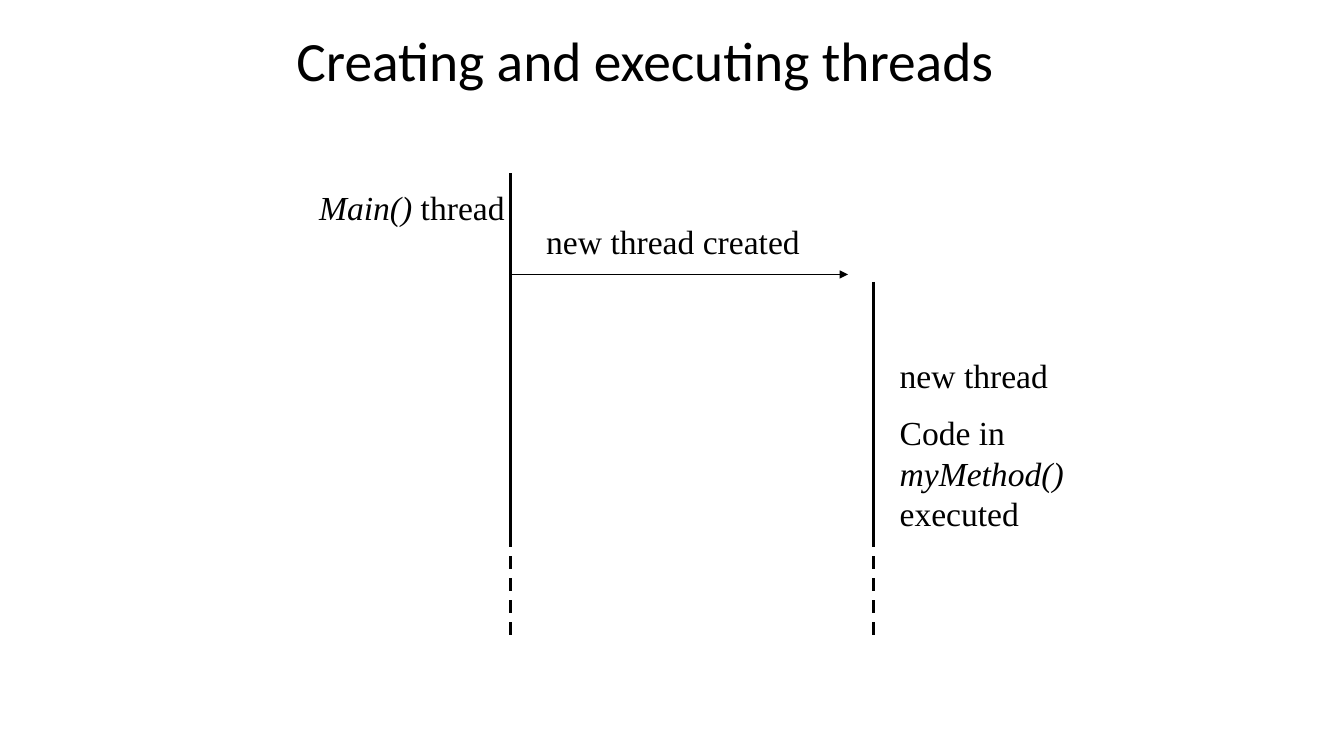
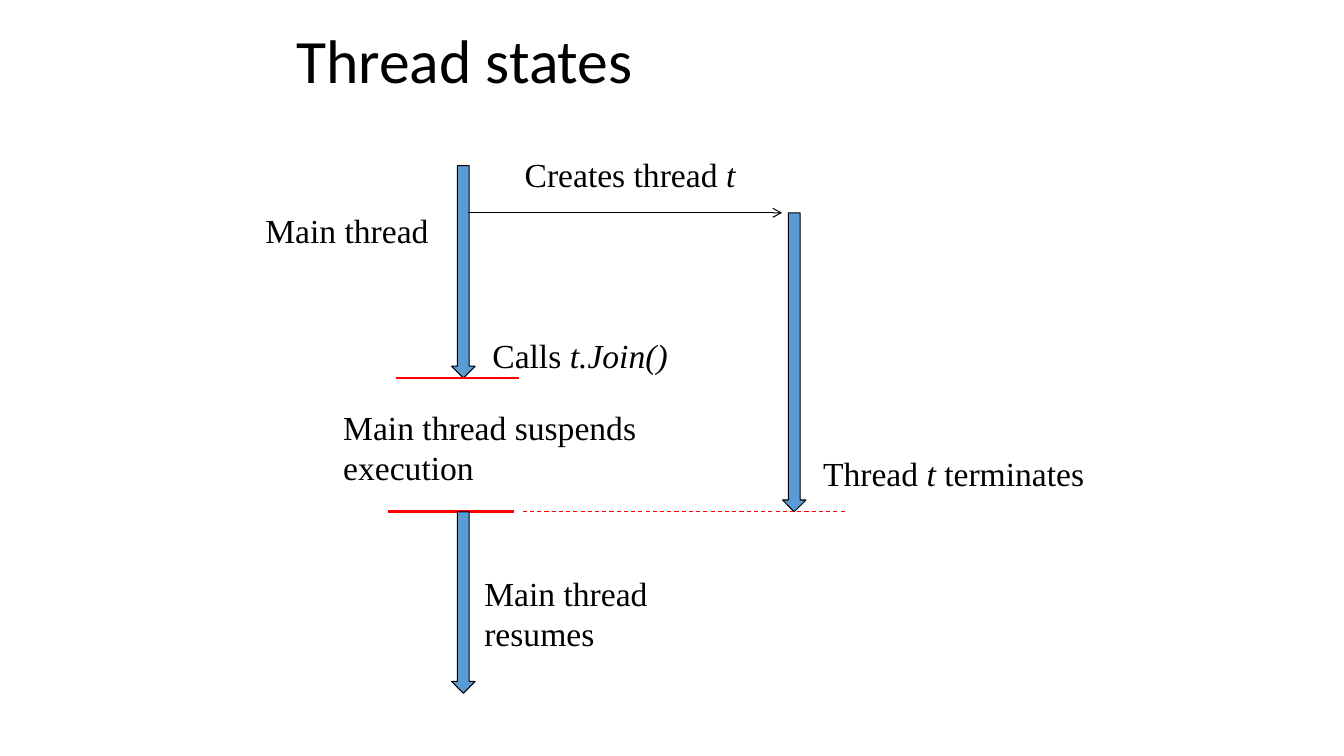
from lxml import etree
from pptx import Presentation
from pptx import util as u
from pptx.dml.color import RGBColor
from pptx.enum import dml, shapes, text
from pptx.oxml import ns

COLORS = {"ink": "000000", "paper": "FFFFFF", "bar": "5B9BD5", "stop": "FF0000"}
TITLE_FONT, BODY_FONT = "Calibri", "Times New Roman"
BODY_SIZE = 24
WIDTH, HEIGHT = u.Inches(13.333), u.Inches(7.5)
ONE_LINE, TWO_LINES = 6.8, 12.1


def across(percent):
    """Turn a percentage of the slide width into a length."""
    return u.Emu(round(WIDTH * percent / 100))


def down(percent):
    """Turn a percentage of the slide height into a length."""
    return u.Emu(round(HEIGHT * percent / 100))


def color(name):
    """Look up a palette colour."""
    return RGBColor.from_string(COLORS[name])


def add_span(para, words, font, size, italic=False):
    """Add one formatted run to a paragraph."""
    span = para.add_run()
    span.text = words
    span.font.name = font
    span.font.size = u.Pt(size)
    span.font.italic = italic
    span.font.color.rgb = color("ink")


def add_page(deck, title, size):
    """Add a white page with the shared left-aligned title."""
    page = deck.slides.add_slide(deck.slide_layouts[5])
    page.background.fill.solid()
    page.background.fill.fore_color.rgb = color("paper")
    box = page.shapes.title
    box.left, box.top = across(21.3), down(0)
    box.width, box.height = across(63.75), down(16.7)
    frame = box.text_frame
    frame.word_wrap = True
    frame.auto_size = text.MSO_AUTO_SIZE.NONE
    frame.vertical_anchor = text.MSO_ANCHOR.MIDDLE
    para = frame.paragraphs[0]
    para.alignment = text.PP_ALIGN.LEFT
    para.line_spacing = 0.9
    add_span(para, title, TITLE_FONT, size)
    return page


def add_label(page, left, top, width, height, *paragraphs, gap=0):
    """Add a label; each paragraph lists its runs, and a tuple holds italic words."""
    box = page.shapes.add_textbox(across(left), down(top), across(width), down(height))
    frame = box.text_frame
    frame.word_wrap = True
    for index, spans in enumerate(paragraphs):
        para = frame.add_paragraph() if index else frame.paragraphs[0]
        para.space_before = u.Pt(gap if index else 0)
        for span in spans:
            italic = isinstance(span, tuple)
            add_span(para, span[0] if italic else span, BODY_FONT, BODY_SIZE, italic)


def add_line(page, start, end, weight, ink="ink", dashed=False, head=None):
    """Add a straight line, optionally dashed or with an arrowhead at its end."""
    line = page.shapes.add_connector(
        shapes.MSO_CONNECTOR.STRAIGHT,
        across(start[0]), down(start[1]), across(end[0]), down(end[1]))
    line.line.color.rgb = color(ink)
    line.line.width = u.Pt(weight)
    if dashed:
        line.line.dash_style = dml.MSO_LINE.DASH
    if head:
        etree.SubElement(line.line._get_or_add_ln(), ns.qn("a:tailEnd"), type=head)
    etree.SubElement(line._element.spPr, ns.qn("a:effectLst"))


def add_lifeline(page, x, top, solid_end):
    """Draw a running thread that continues as a dashed line."""
    add_line(page, (x, top), (x, solid_end), 2.25)
    add_line(page, (x, 70.7), (x, 84), 2.25, dashed=True)


def add_bar(page, left, top, bottom):
    """Draw a running thread as a narrow down arrow."""
    bar = page.shapes.add_shape(
        shapes.MSO_SHAPE.DOWN_ARROW,
        across(left), down(top), across(1.75), down(bottom - top))
    bar.shadow.inherit = False
    bar.fill.solid()
    bar.fill.fore_color.rgb = color("bar")
    bar.line.color.rgb = color("ink")
    bar.line.width = u.Pt(0.75)


def build_creation(deck):
    """Show how the main thread creates a second one."""
    page = add_page(deck, "Creating and executing threads", 39.6)
    main_x, new_x, call_y = 38, 65, 36.3
    add_lifeline(page, main_x, 22.9, 70.7)
    add_lifeline(page, new_x, 37.3, 71.9)
    add_line(page, (main_x, call_y), (63.1, call_y), 0.75, head="triangle")
    add_label(page, 23, 24, 17.5, ONE_LINE, [("Main() ",), "thread"])
    add_label(page, 39.9, 28.5, 23.1, ONE_LINE, ["new thread created"])
    add_label(page, 66.2, 46.3, 17.5, 25.6, ["new thread"],
              ["Code in ", ("myMethod()",), " executed"], gap=12)


def build_states(deck):
    """Show how the main thread waits for thread t."""
    page = add_page(deck, "Thread states", 44)
    main_x, new_x = 33.6, 58.2
    start_y, create_y, join_y, resume_y, end_y = 21.9, 28.15, 50, 67.7, 91.7
    add_bar(page, main_x, start_y, join_y)
    add_line(page, (34.8, create_y), (new_x, create_y), 0.75, head="arrow")
    add_bar(page, new_x + 0.02, create_y, resume_y)
    add_line(page, (29.5, join_y), (38.6, join_y), 2, "stop")
    add_line(page, (28.9, resume_y), (38.25, resume_y), 2, "stop")
    add_bar(page, main_x, resume_y, end_y)
    add_line(page, (38.9, resume_y), (62.9, resume_y), 0.75, "stop", dashed=True)
    add_label(page, 19, 27.1, 14.1, ONE_LINE, ["Main thread"])
    add_label(page, 38.3, 19.7, 18.2, ONE_LINE, ["Creates thread ", ("t",)])
    add_label(page, 35.9, 43.7, 16.4, ONE_LINE, ["Calls ", ("t.Join()",)])
    add_label(page, 24.8, 53.1, 24.6, TWO_LINES,
              ["Main thread suspends "], ["execution"])
    add_label(page, 60.5, 59.3, 21.7, ONE_LINE, ["Thread ", ("t ",), "terminates"])
    add_label(page, 35.3, 75.1, 19.4, TWO_LINES, ["Main thread resumes"])


def main():
    """Build and save the deck."""
    deck = Presentation()
    deck.slide_width, deck.slide_height = WIDTH, HEIGHT
    build_creation(deck)
    build_states(deck)
    deck.save("out.pptx")


main()
